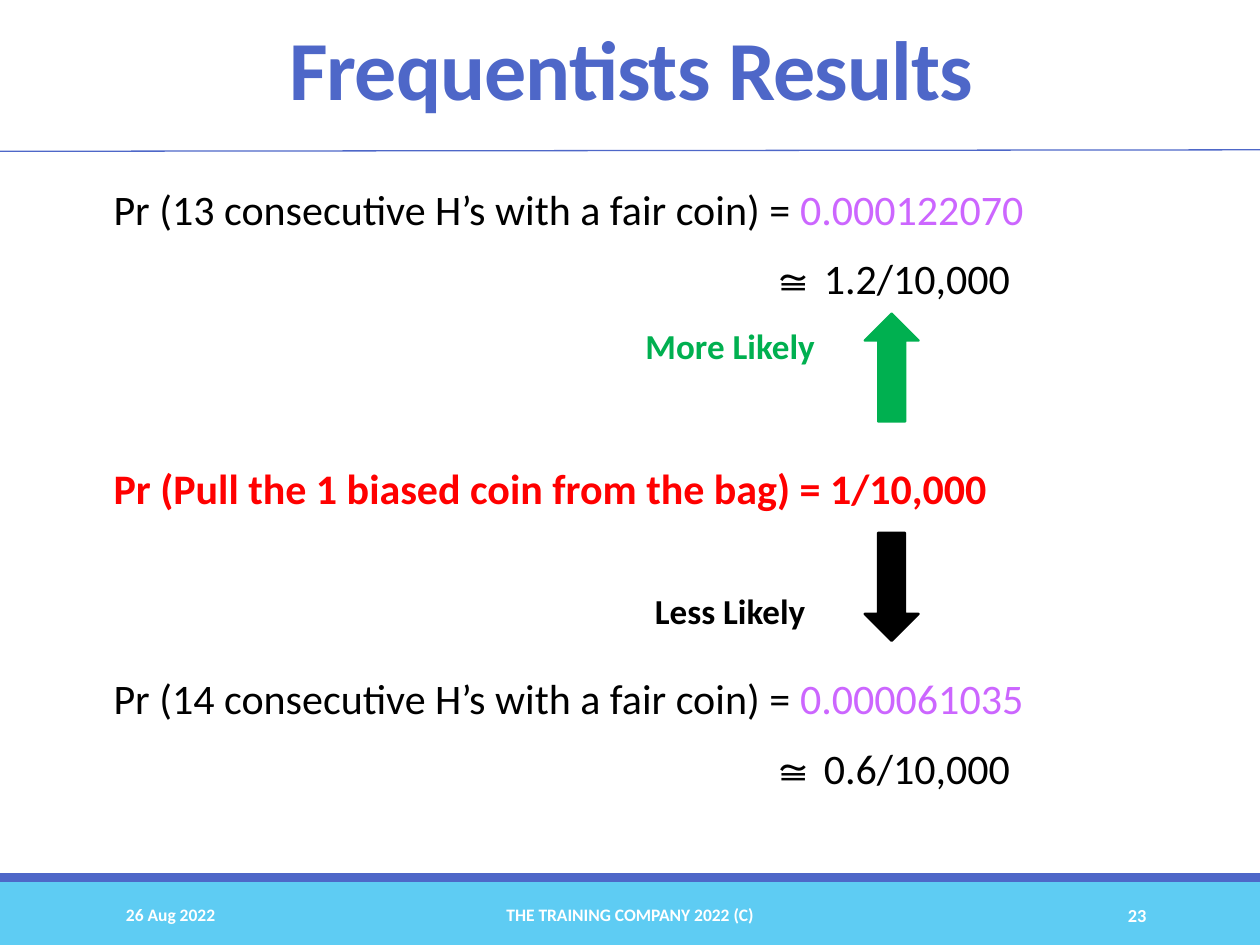
import pptx
import pptx.util
import pptx.dml.color
import pptx.enum.shapes
import pptx.enum.text
import pptx.oxml.ns
import lxml.etree

Cm = pptx.util.Cm
Pt = pptx.util.Pt
ALIGN = pptx.enum.text.PP_ALIGN
SHAPE = pptx.enum.shapes.MSO_SHAPE

BLUE, CYAN, GREEN, RED = "4E67C8", "5ECCF3", "00B050", "FF0000"
PURPLE, BLACK, WHITE = "CC66FF", "000000", "FFFFFF"
LINE_STEP = 1.41  # cm between lines of the body text


def color(hex_string):
    return pptx.dml.color.RGBColor.from_string(hex_string)


def add_runs(paragraph, runs, size, bold=False):
    """Each run is (text, colour, font name)."""
    for text, hex_string, font_name in runs:
        run = paragraph.add_run()
        run.text = text
        run.font.size = Pt(size)
        run.font.bold = bold
        run.font.name = font_name
        run.font.color.rgb = color(hex_string)


def add_text(slide, box, text, size, hex_string, align=ALIGN.LEFT,
             anchor=pptx.enum.text.MSO_ANCHOR.MIDDLE):
    text_box = slide.shapes.add_textbox(*[Cm(length) for length in box])
    text_frame = text_box.text_frame
    text_frame.word_wrap = True
    text_frame.vertical_anchor = anchor
    paragraph = text_frame.paragraphs[0]
    paragraph.alignment = align
    add_runs(paragraph, [(text, hex_string, "Calibri")], size, bold=True)
    return paragraph


def add_filled_shape(slide, kind, box, hex_string, line_width=0):
    shape = slide.shapes.add_shape(kind, *[Cm(length) for length in box])
    shape.shadow.inherit = False
    shape.fill.solid()
    shape.fill.fore_color.rgb = color(hex_string)
    if line_width:
        shape.line.color.rgb = color(hex_string)
        shape.line.width = Pt(line_width)
    else:
        shape.line.fill.background()
    return shape


def add_header(slide, left, top, width):
    # Title
    paragraph = add_text(slide, (left + 2.24, top + 0.41, 20.96, 2.18),
                         "Frequentists Results", 48, BLUE, ALIGN.CENTER)
    paragraph.line_spacing = 0.85
    paragraph.runs[0].font._element.set("spc", "-50")
    # Rule below the title
    rule = slide.shapes.add_connector(
        pptx.enum.shapes.MSO_CONNECTOR.STRAIGHT,
        Cm(left), Cm(top + 3.05), Cm(left + width), Cm(top + 3.02))
    rule.line.color.rgb = color(BLUE)
    rule.line.width = Pt(0.75)
    lxml.etree.SubElement(rule._element.spPr, pptx.oxml.ns.qn("a:effectLst"))


def add_statement(slide, left, top, runs, bold=False, approximation=None):
    """A probability, with its rounded value on a second line if given."""
    text_box = slide.shapes.add_textbox(
        Cm(left), Cm(top), Cm(20.96), Cm(LINE_STEP * (2 if approximation else 1)))
    text_frame = text_box.text_frame
    text_frame.word_wrap = True
    text_frame.margin_left = text_frame.margin_right = 0
    paragraph = text_frame.paragraphs[0]
    add_runs(paragraph, runs, 24, bold)
    if approximation:
        paragraph = text_frame.add_paragraph()
        paragraph._p.get_or_add_pPr().set("marL", str(Cm(13.28)))
        add_runs(paragraph, [("≅", BLACK, "Cambria"),
                             (" " + approximation, BLACK, "Calibri")], 24)
    for paragraph in text_frame.paragraphs:
        paragraph.line_spacing = 0.9
        paragraph.space_after = Pt(2)
    for paragraph in text_frame.paragraphs[1:]:
        paragraph.space_before = Pt(12)


def add_likelihood(slide, left, arrow_top, label_top, label, hex_string, rotation):
    add_text(slide, (left, label_top, 4.34, 1.12), label, 20, hex_string,
             ALIGN.CENTER, pptx.enum.text.MSO_ANCHOR.TOP)
    arrow = add_filled_shape(slide, SHAPE.DOWN_ARROW,
                             (left + 4.88, arrow_top, 1.09, 2.18), hex_string, 1.25)
    arrow.rotation = rotation


def add_body(slide, left, top):
    # Coin tosses on the outer lines
    for line, count, value, approximation in (
            (0, 13, "0.000122070", "1.2/10,000"),
            (7, 14, "0.000061035", "0.6/10,000")):
        question = f"Pr ({count} consecutive H’s with a fair coin) = "
        add_statement(slide, left, top + line * LINE_STEP,
                      [(question, BLACK, "Calibri"), (value, PURPLE, "Calibri")],
                      approximation=approximation)
    # Reference probability between them
    add_statement(slide, left, top + 4 * LINE_STEP,
                  [("Pr (Pull the 1 biased coin from the bag) = 1/10,000", RED, "Calibri")],
                  bold=True)
    # Comparison arrows
    add_likelihood(slide, left + 10.26, top + 2.64, top + 2.74, "More Likely", GREEN, 180)
    add_likelihood(slide, left + 10.26, top + 7.06, top + 8.08, "Less Likely", BLACK, 0)


def add_footer(slide, left, top, width):
    # Bands
    add_filled_shape(slide, SHAPE.RECTANGLE, (left, top + 0.18, width, 1.27), CYAN)
    add_filled_shape(slide, SHAPE.RECTANGLE, (left, top, width, 0.18), BLUE)
    # Date, owner and slide number
    for offset, text_width, text, size, align in (
            (2.29, 5.16, "26 Aug 2022", 10, ALIGN.LEFT),
            (7.67, 10.06, "THE TRAINING COMPANY 2022 (C)", 10, ALIGN.CENTER),
            (20.62, 2.74, "23", 10.5, ALIGN.RIGHT)):
        add_text(slide, (left + offset, top + 0.33, text_width, 1.02),
                 text, size, WHITE, align)


def main():
    presentation = pptx.Presentation()
    presentation.slide_width = Cm(25.4)
    presentation.slide_height = Cm(19.05)
    slide = presentation.slides.add_slide(presentation.slide_layouts[6])
    add_footer(slide, 0, 17.6, 25.4)
    add_header(slide, 0, 0, 25.4)
    add_body(slide, 2.29, 3.68)
    presentation.save("out.pptx")


if __name__ == "__main__":
    main()
